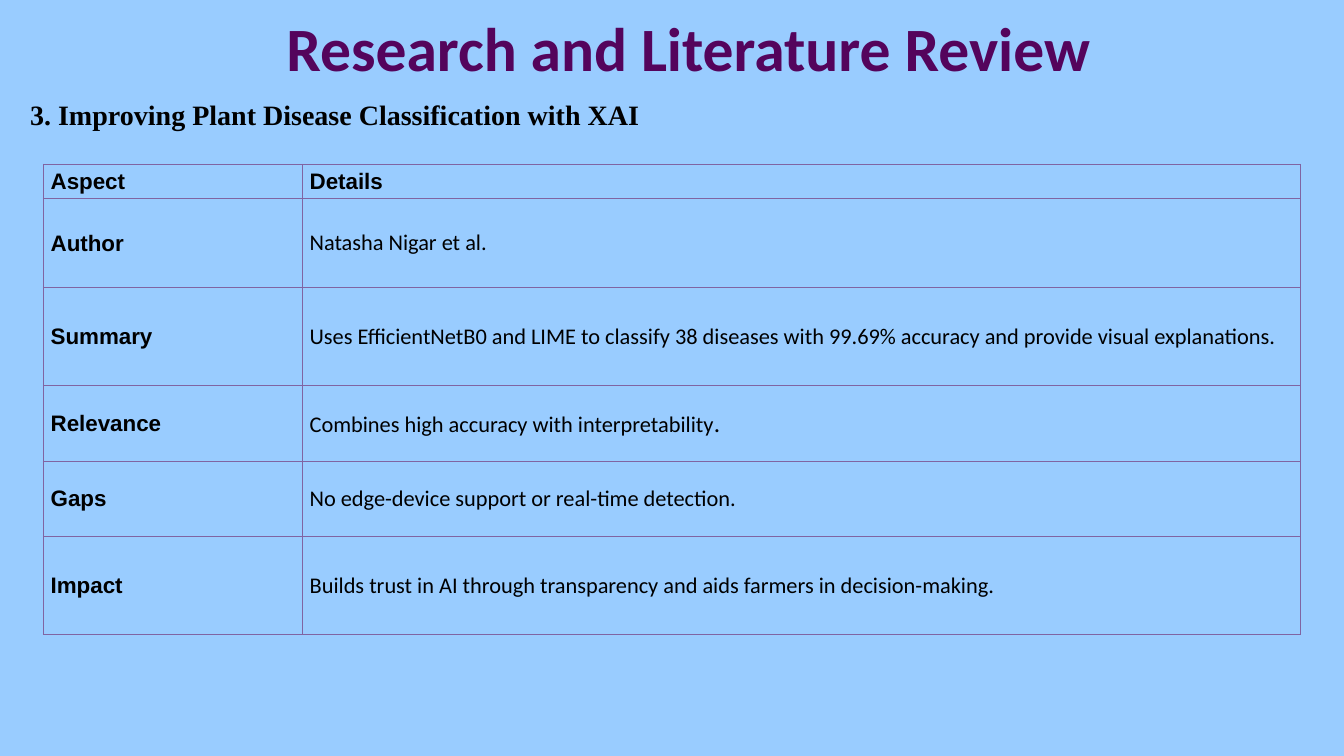
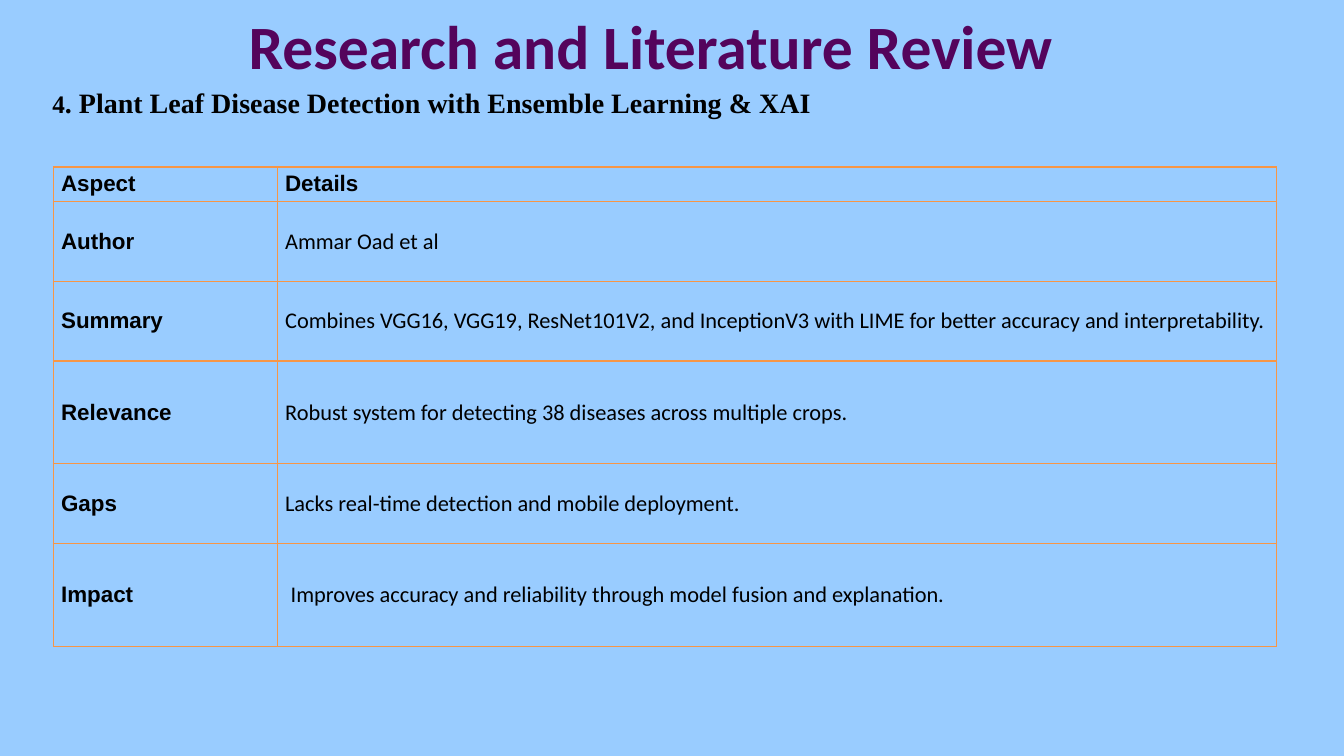
from pptx import Presentation
from pptx.dml.color import RGBColor
from pptx.enum import text
from pptx.oxml import parse_xml
from pptx.oxml.ns import nsdecls
from pptx.util import Pt

# Content: a run is (text, format overrides)
TITLE = "Research and Literature Review"
ASPECTS = ["Aspect", "Author", "Summary", "Relevance", "Gaps", "Impact"]
REVIEWS = [
    {
        "title_box": (60, 0, 864, 67),
        "heading_box": (14.4, 66.2, 864, 32),
        "heading": [("3. Improving Plant Disease Classification with XAI", {})],
        "details": [
            [("Details", {})],
            [("Natasha Nigar et al.", {})],
            [("Uses EfficientNetB0 and LIME to classify 38 diseases with 99.69% "
              "accuracy and provide visual explanations.", {})],
            [("Combines high accuracy with interpretability", {}),
             (".", {"size": Pt(18)})],
            [("No edge-device support or real-time detection.", {})],
            [("Builds trust in AI through transparency and aids farmers in "
              "decision-making.", {})],
        ],
        "table_at": (31, 117.4),
        "columns": (185, 713),
        "rows": (21.8, 63.5, 70, 54, 54, 70),
        "border": "8064A2",
        "cell_margin": 5.2,
        "indents": {},
    },
    {
        "title_box": (33, 0, 864, 64),
        "heading_box": (30.3, 57.6, 864, 32),
        "heading": [("4", {"size": Pt(18)}),
                    (". Plant Leaf Disease Detection with Ensemble Learning & XAI", {})],
        "details": [
            [("Details", {})],
            [("Ammar Oad et al", {})],
            [("Combines VGG16, VGG19, ResNet101V2, and InceptionV3 with LIME for "
              "better accuracy and interpretability.", {})],
            [("Robust system for detecting 38 diseases across multiple crops.", {})],
            [("Lacks real-time detection and mobile deployment.", {})],
            [("Improves accuracy and reliability through model fusion and "
              "explanation.", {})],
        ],
        "table_at": (38.1, 119.3),
        "columns": (160, 713.7),
        "rows": (22.5, 57, 57, 73.5, 57, 73.5),
        "border": "F79646",
        "cell_margin": 5.6,
        "indents": {5: 4},
    },
]

# Theme
BACKGROUND = RGBColor.from_string("99CCFF")
PURPLE = RGBColor.from_string("54045C")
BLACK = RGBColor.from_string("000000")
THEME = {
    "title": {"name": "Calibri", "size": Pt(44), "bold": True, "color": PURPLE},
    "heading": {"name": "Times New Roman", "size": Pt(20), "bold": True, "color": BLACK},
    "label": {"name": "Arial", "size": Pt(16), "bold": True, "color": BLACK},
    "detail": {"name": "Calibri", "size": Pt(16), "bold": False, "color": BLACK},
}


def write_runs(paragraph, runs, style):
    for words, overrides in runs:
        run = paragraph.add_run()
        run.text = words
        for key, value in {**THEME[style], **overrides}.items():
            if key == "color":
                run.font.color.rgb = value
            else:
                setattr(run.font, key, value)


def add_text(slide, box, runs, style, alignment, anchor):
    frame = slide.shapes.add_textbox(*map(Pt, box)).text_frame
    frame.word_wrap = True
    frame.vertical_anchor = anchor
    frame.paragraphs[0].alignment = alignment
    write_runs(frame.paragraphs[0], runs, style)


def set_borders(cell, color):
    properties = cell._tc.get_or_add_tcPr()
    for position, side in enumerate(("lnL", "lnR", "lnT", "lnB")):
        properties.insert(position, parse_xml(
            f'<a:{side} {nsdecls("a")} w="{Pt(1)}"><a:solidFill>'
            f'<a:srgbClr val="{color}"/></a:solidFill></a:{side}>'))


def add_review_table(slide, review):
    columns, rows = review["columns"], review["rows"]
    box = (*review["table_at"], sum(columns), sum(rows))
    table = slide.shapes.add_table(len(rows), len(columns), *map(Pt, box)).table
    table.first_row = table.horz_banding = False
    for column, width in zip(table.columns, columns):
        column.width = Pt(width)
    for index, (height, aspect, detail) in enumerate(
            zip(rows, ASPECTS, review["details"])):
        table.rows[index].height = Pt(height)
        detail_style = "detail" if index else "label"
        indent = review["indents"].get(index, 0)
        contents = [([(aspect, {})], "label", 0), (detail, detail_style, indent)]
        for cell, (runs, style, extra) in zip(table.rows[index].cells, contents):
            cell.fill.background()
            cell.vertical_anchor = text.MSO_ANCHOR.MIDDLE
            cell.margin_left = Pt(review["cell_margin"] + extra)
            cell.margin_right = Pt(review["cell_margin"])
            cell.margin_top = cell.margin_bottom = Pt(2.7)
            set_borders(cell, review["border"])
            write_runs(cell.text_frame.paragraphs[0], runs, style)


def main():
    presentation = Presentation()
    presentation.slide_width, presentation.slide_height = Pt(960), Pt(540)
    for review in REVIEWS:
        slide = presentation.slides.add_slide(presentation.slide_layouts[6])
        slide.background.fill.solid()
        slide.background.fill.fore_color.rgb = BACKGROUND
        add_text(slide, review["title_box"], [(TITLE, {})], "title",
                 text.PP_ALIGN.CENTER, text.MSO_ANCHOR.MIDDLE)
        add_text(slide, review["heading_box"], review["heading"], "heading",
                 text.PP_ALIGN.LEFT, text.MSO_ANCHOR.TOP)
        add_review_table(slide, review)
    presentation.save("out.pptx")


if __name__ == "__main__":
    main()
